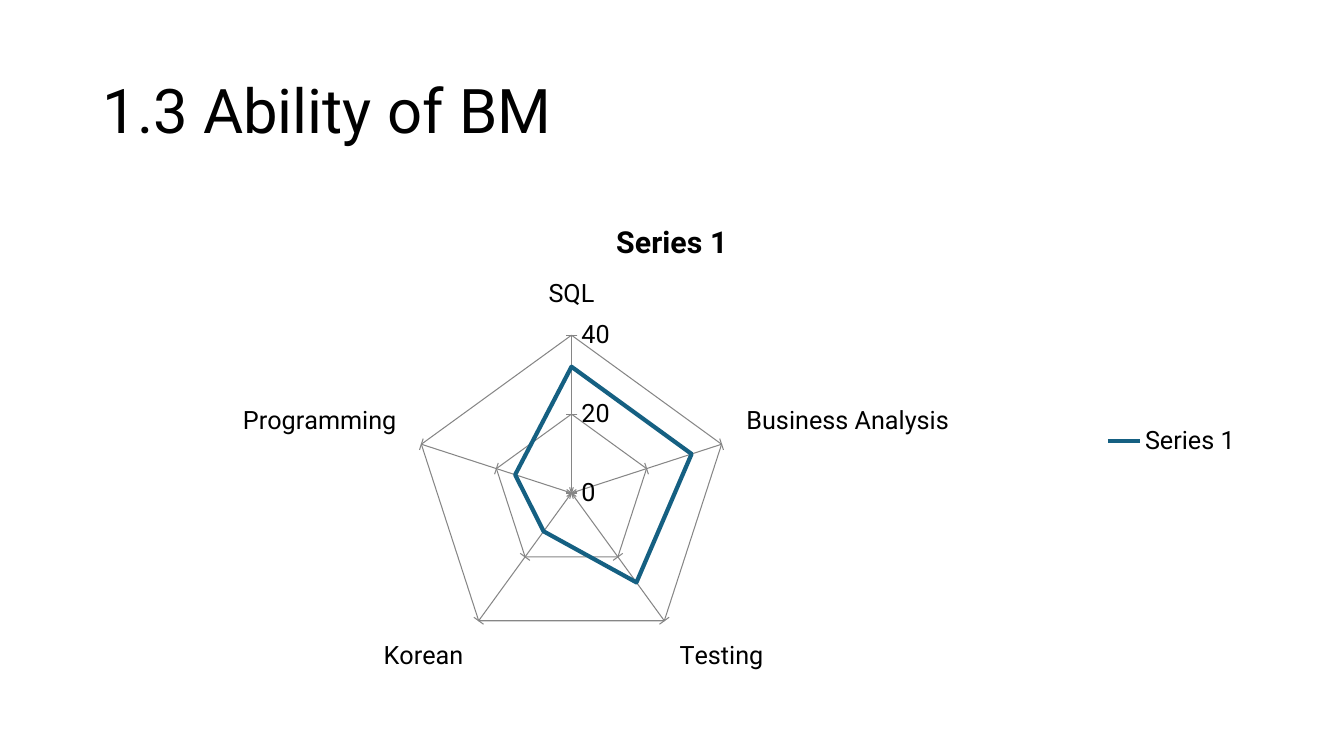
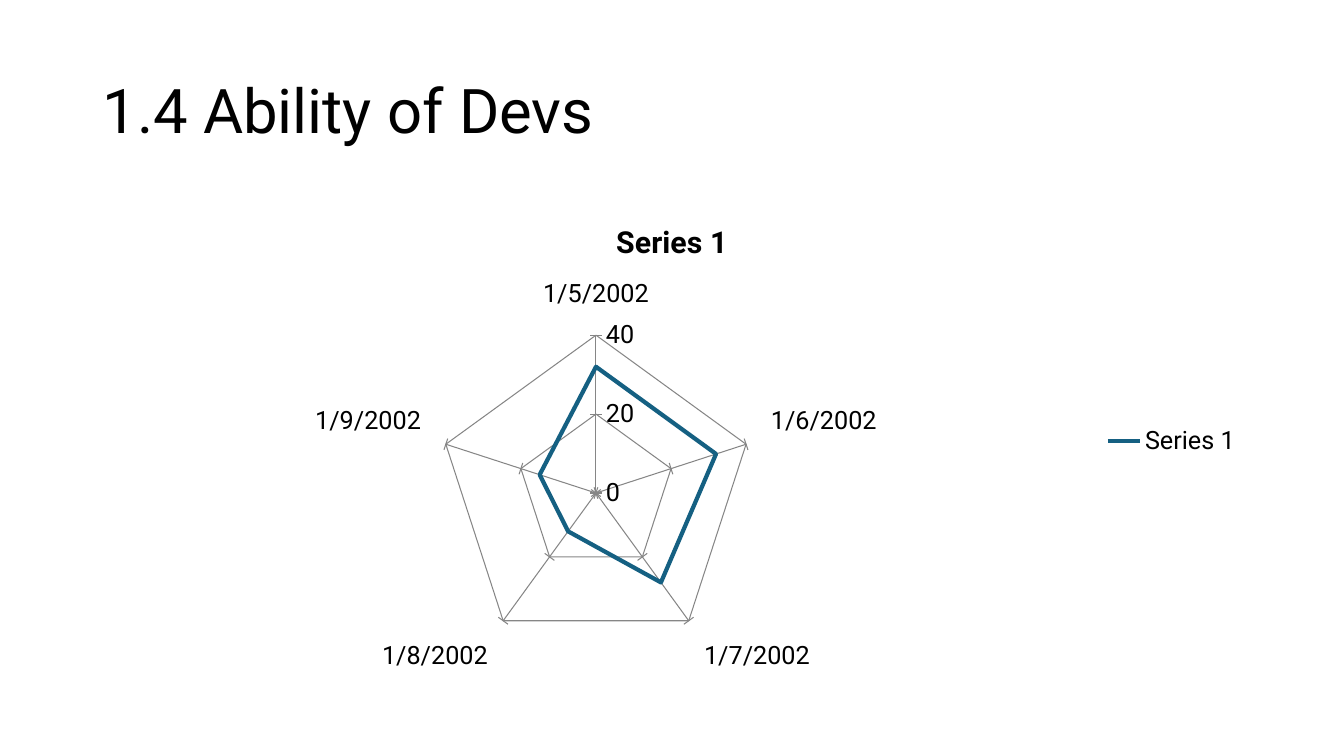
import pptx
import pptx.chart.data
import pptx.dml.color
import pptx.enum.chart
import pptx.enum.text
import pptx.util

Cm, Pt = pptx.util.Cm, pptx.util.Pt

FONT = "Roboto"
COLORS = {"text": "000000", "series": "156082", "grid": "868686"}
LEFT, WIDTH = Cm(2.33), Cm(29.21)
SERIES_NAME = "Series 1"
SCORES = (32, 32, 28, 12, 15)
SLIDES = [
    ("1.3 Ability of BM",
     ["SQL", "Business Analysis", "Testing", "Korean", "Programming"]),
    ("1.4 Ability of Devs",
     [f"1/{day}/2002" for day in range(5, 10)]),
]


def rgb(name):
    return pptx.dml.color.RGBColor.from_string(COLORS[name])


def style_font(font, size, bold=False):
    font.name = FONT
    font.size = Pt(size)
    font.bold = bold
    font.color.rgb = rgb("text")


prs = pptx.Presentation()
prs.slide_width, prs.slide_height = Cm(33.87), Cm(19.05)
title_only = prs.slide_layouts[5]

for heading, abilities in SLIDES:
    slide = prs.slides.add_slide(title_only)

    title = slide.shapes.title
    title.left, title.top, title.width, title.height = LEFT, Cm(1.01), WIDTH, Cm(3.68)
    title.text_frame.vertical_anchor = pptx.enum.text.MSO_ANCHOR.MIDDLE
    title_line = title.text_frame.paragraphs[0]
    title_line.alignment = pptx.enum.text.PP_ALIGN.LEFT
    title_line.line_spacing = 0.9
    title_run = title_line.add_run()
    title_run.text = heading
    style_font(title_run.font, 44)

    scores = pptx.chart.data.CategoryChartData()
    scores.categories = abilities
    scores.add_series(SERIES_NAME, SCORES)
    radar = slide.shapes.add_chart(
        pptx.enum.chart.XL_CHART_TYPE.RADAR,
        LEFT, Cm(5.07), WIDTH, Cm(12.09), scores).chart
    style_font(radar.font, 18)

    radar.has_title = True
    radar_title = radar.chart_title.text_frame.paragraphs[0].add_run()
    radar_title.text = SERIES_NAME
    style_font(radar_title.font, 21.6, bold=True)

    radar.has_legend = True
    radar.legend.position = pptx.enum.chart.XL_LEGEND_POSITION.RIGHT
    radar.legend.include_in_layout = False

    ability_axis, score_axis = radar.category_axis, radar.value_axis
    ability_axis.major_tick_mark = pptx.enum.chart.XL_TICK_MARK.OUTSIDE
    score_axis.major_tick_mark = pptx.enum.chart.XL_TICK_MARK.CROSS
    score_axis.minimum_scale, score_axis.maximum_scale = 0, 40
    score_axis.major_unit = 20
    for axis in (ability_axis, score_axis):
        axis.has_major_gridlines = True
        for line in (axis.format.line, axis.major_gridlines.format.line):
            line.color.rgb = rgb("grid")
            line.width = Pt(0.75)

    score_line = radar.plots[0].series[0]
    score_line.smooth = False
    score_line.marker.style = pptx.enum.chart.XL_MARKER_STYLE.NONE
    score_line.format.line.color.rgb = rgb("series")
    score_line.format.line.width = Pt(3)

prs.save("out.pptx")
